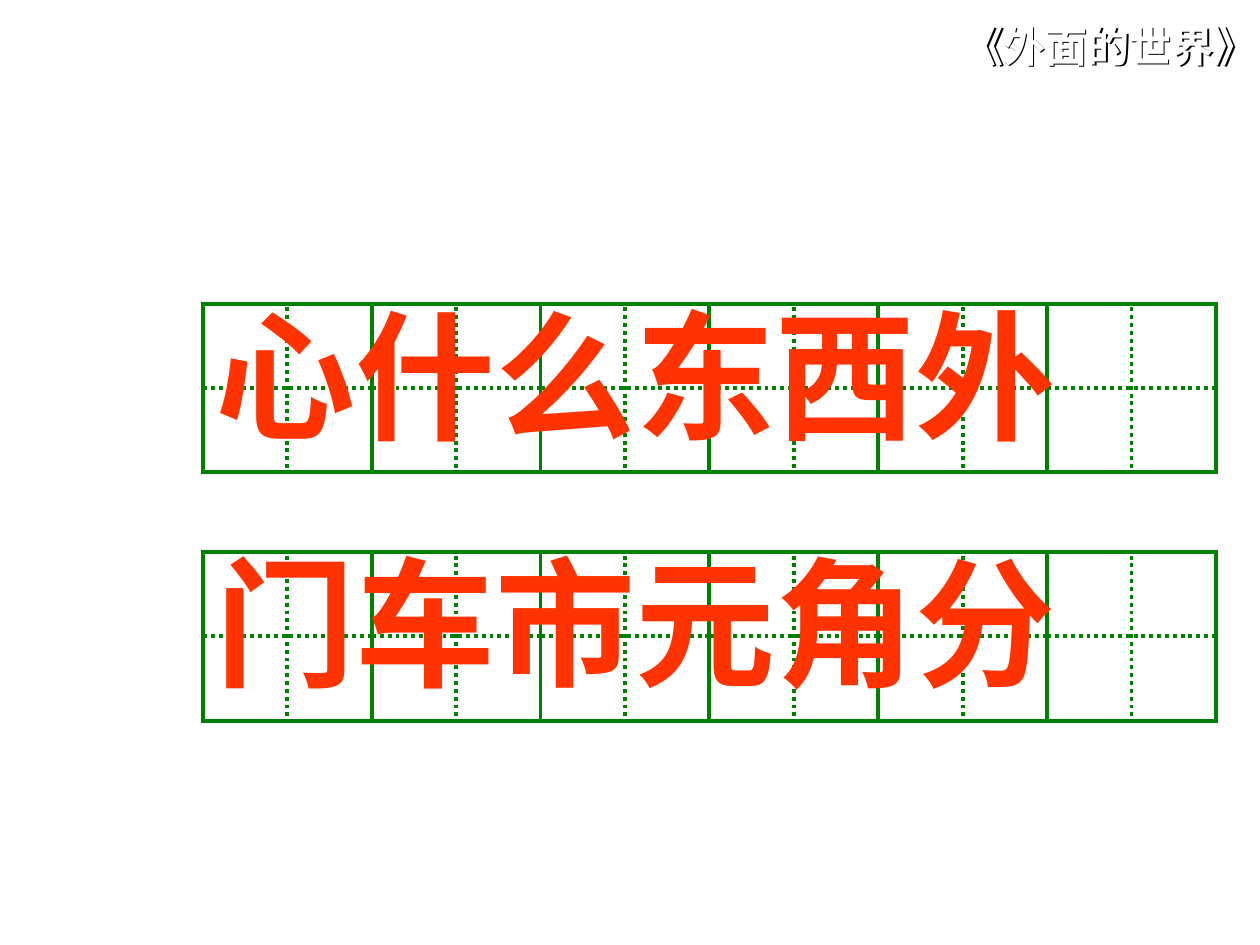
from dataclasses import dataclass

from lxml import etree
from pptx import Presentation
from pptx.dml.color import RGBColor
from pptx.enum.dml import MSO_LINE
from pptx.enum.shapes import MSO_CONNECTOR, MSO_SHAPE
from pptx.enum.text import MSO_AUTO_SIZE, PP_ALIGN
from pptx.oxml.ns import qn
from pptx.util import Inches, Pt

DOT = MSO_LINE.ROUND_DOT
LINE = MSO_CONNECTOR.STRAIGHT
RECT = MSO_SHAPE.RECTANGLE
GROW = MSO_AUTO_SIZE.SHAPE_TO_FIT_TEXT
LEFT = PP_ALIGN.LEFT
RIGHT = PP_ALIGN.RIGHT


@dataclass(frozen=True)
class Theme:
    font: str = "Arial"
    paper: RGBColor = RGBColor(0xFF, 0xFF, 0xFF)
    grid: RGBColor = RGBColor(0x00, 0x80, 0x00)
    word: RGBColor = RGBColor(0xFF, 0x33, 0x00)
    shade: RGBColor = RGBColor(0x00, 0x00, 0x00)
    big: Pt = Pt(80)
    small: Pt = Pt(24)
    rule: Pt = Pt(2.25)


THEME = Theme()
CELL = 1.34


def add_text(slide, box, text, size, color, align):
    shape = slide.shapes.add_textbox(*map(Inches, box))
    frame = shape.text_frame
    frame.word_wrap = True
    frame.auto_size = GROW
    para = frame.paragraphs[0]
    para.alignment = align
    run = para.add_run()
    run.text = text
    font = run.font
    font.size, font.bold, font.name = size, True, THEME.font
    font.color.rgb = color
    props = run._r.get_or_add_rPr()
    east = etree.Element(qn("a:ea"), typeface=THEME.font)
    props.find(qn("a:latin")).addnext(east)
    return shape


def add_shade(shape):
    effect = etree.SubElement(shape._element.spPr, qn("a:effectLst"))
    shade = etree.SubElement(
        effect,
        qn("a:outerShdw"),
        dist=str(Inches(0.02)),
        dir="2700000",
        algn="ctr",
        rotWithShape="0",
    )
    etree.SubElement(shade, qn("a:srgbClr"), val=str(THEME.shade))


def set_line(line):
    line.color.rgb = THEME.grid
    line.width = THEME.rule


def add_dots(group, start, end):
    dots = group.shapes.add_connector(LINE, *map(Inches, start + end))
    set_line(dots.line)
    dots.line.dash_style = DOT
    etree.SubElement(dots._element.spPr, qn("a:effectLst"))


def add_cell(slide, left, top):
    group = slide.shapes.add_group_shape()
    rect = group.shapes.add_shape(
        RECT, *map(Inches, (left, top, CELL, CELL))
    )
    rect.shadow.inherit = False
    rect.fill.solid()
    rect.fill.fore_color.rgb = THEME.paper
    set_line(rect.line)
    edge = rect._element.spPr.find(qn("a:ln"))
    etree.SubElement(edge, qn("a:miter"), lim="800000")
    mid_x, mid_y = left + CELL / 2, top + CELL / 2
    add_dots(group, (left + CELL, mid_y), (left, mid_y))
    add_dots(group, (mid_x, top + 0.03), (mid_x, top + CELL))


def add_row(slide, left, top, text, rise):
    for col in range(len(text)):
        add_cell(slide, left + col * CELL, top)
    box = (left, top - rise, 8.12, 1.44)
    add_text(slide, box, text, THEME.big, THEME.word, LEFT)


def add_title(slide, box, text):
    shape = add_text(slide, box, text, THEME.small, THEME.paper, RIGHT)
    add_shade(shape)


def main():
    deck = Presentation()
    deck.slide_width, deck.slide_height = Inches(10), Inches(7.5)
    slide = deck.slides.add_slide(deck.slide_layouts[6])
    slide.background.fill.solid()
    slide.background.fill.fore_color.rgb = THEME.paper
    add_row(slide, 1.61, 4.38, "门车市元角分", 0.17)
    add_row(slide, 1.61, 2.41, "心什么东西外", 0.16)
    add_title(slide, (7.44, 0.11, 2.62, 0.5), "《外面的世界》")
    deck.save("out.pptx")


if __name__ == "__main__":
    main()
